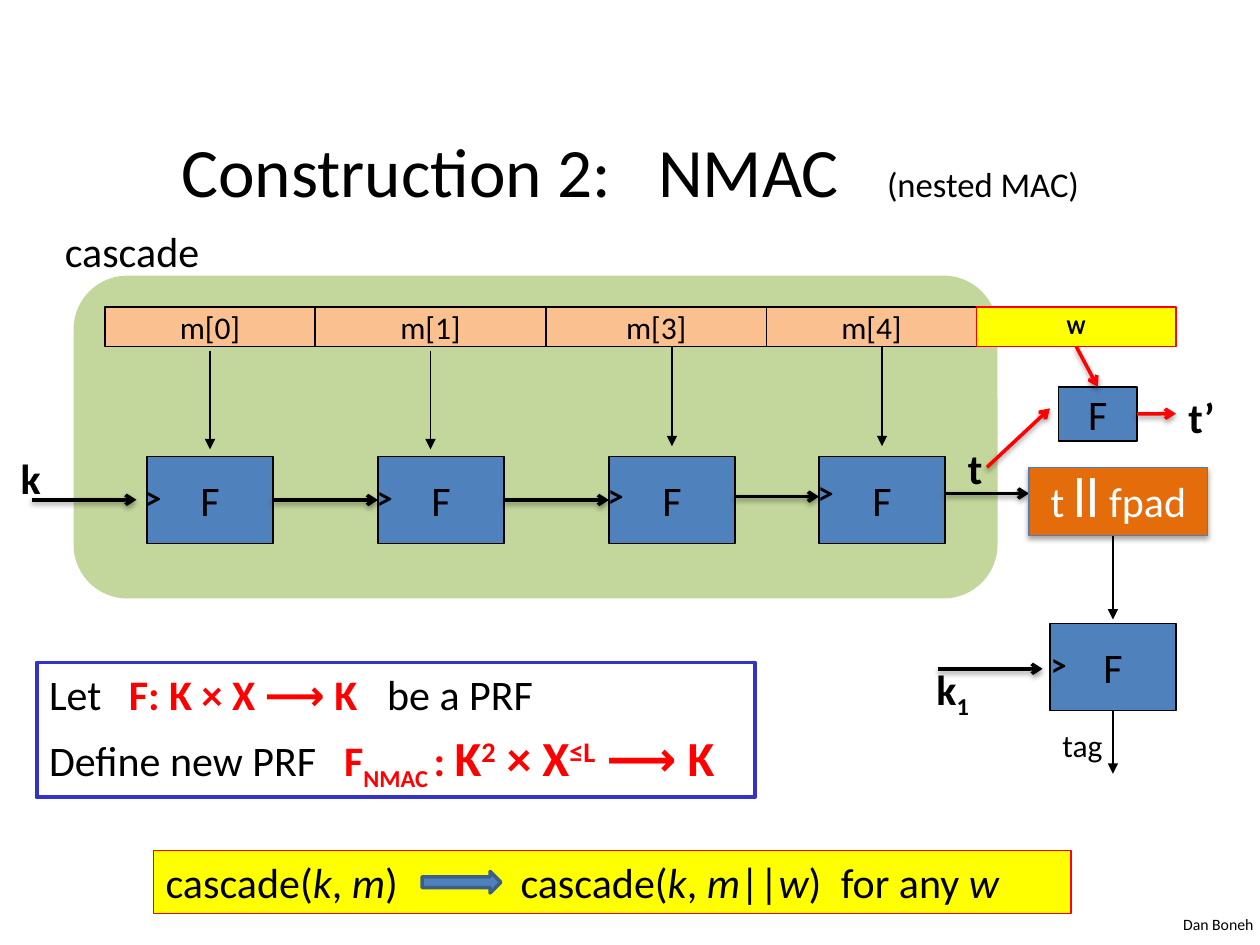
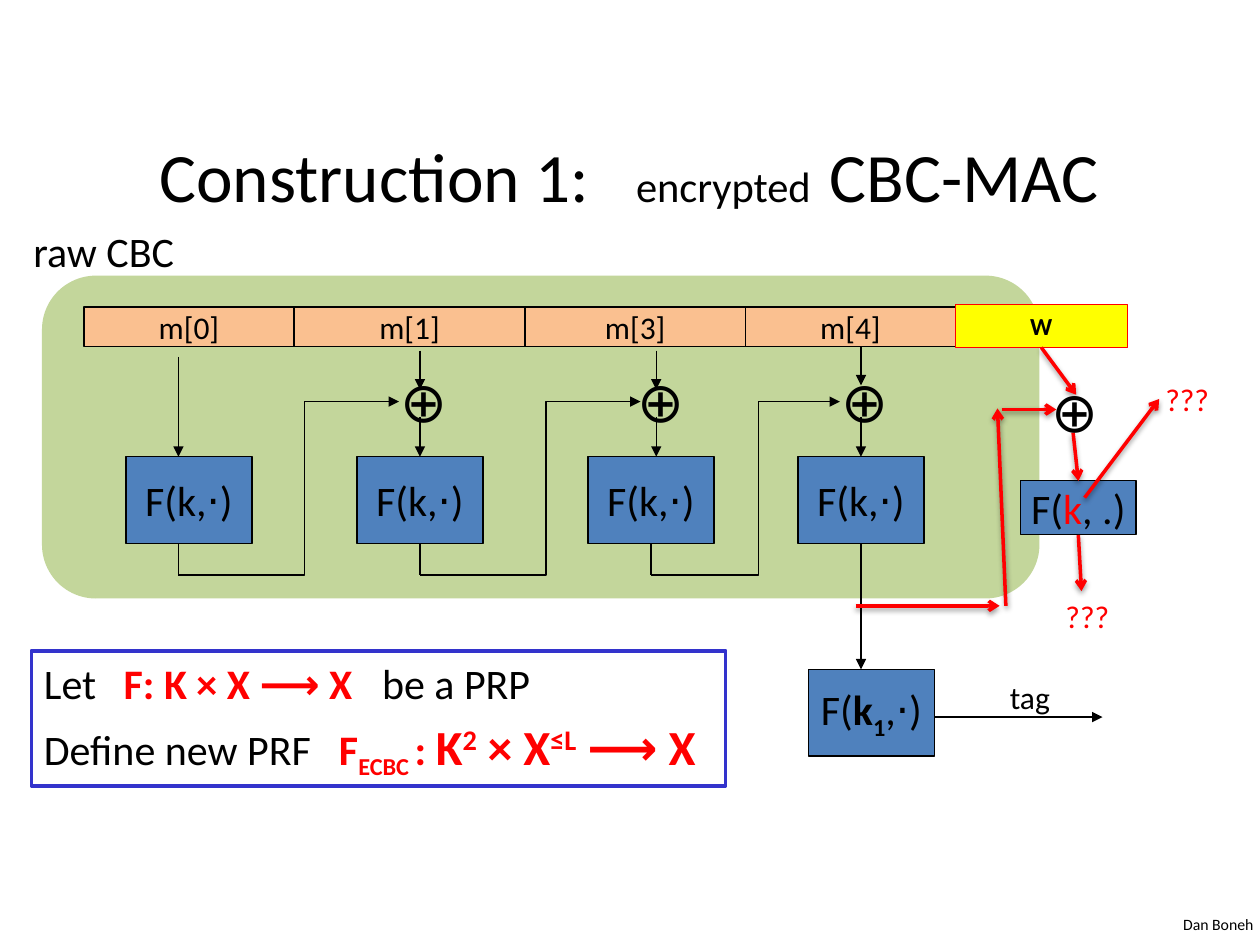
from lxml.etree import SubElement
from pptx import Presentation
from pptx.dml.color import RGBColor
from pptx.enum.shapes import MSO_CONNECTOR, MSO_SHAPE
from pptx.enum.text import MSO_ANCHOR, PP_ALIGN
from pptx.oxml.ns import qn
from pptx.util import Inches, Pt

BLACK = RGBColor(0x00, 0x00, 0x00)
WHITE = RGBColor(0xFF, 0xFF, 0xFF)
RED = RGBColor(0xFF, 0x00, 0x00)
BLUE = RGBColor(0x4F, 0x81, 0xBD)
NAVY = RGBColor(0x3A, 0x5F, 0x8C)
STEEL = RGBColor(0x4B, 0x7E, 0xBC)
FRAME = RGBColor(0x33, 0x33, 0xCC)
GREEN = RGBColor(0xC3, 0xD6, 0x9B)
PEACH = RGBColor(0xFA, 0xC0, 0x90)
YELLOW = RGBColor(0xFF, 0xFF, 0x00)
ORANGE = RGBColor(0xE4, 0x6C, 0x0A)
FONT = "Calibri"

# Grid: 120 columns by 90 rows, twelve cells to the inch
COLS, ROWS = 120, 90
MID, TOP = MSO_ANCHOR.MIDDLE, MSO_ANCHOR.TOP

# Run styles
BOLD = {"b": True}
ITAL = {"i": True}
HOT = {"b": True, "c": RED}
BIG = {**HOT, "sz": 28}

# Shared chain of message cells and function blocks
CELLS = [("m[0]", 20), ("m[1]", 22), ("m[3]", 21), ("m[4]", 20)]
STEPS = [4, 26, 48, 68]
BLOCK_Y, BLOCK_W, BLOCK_H = 43.5, 12, 8.25
CELL_Y, CELL_H = 29.25, 3.75
FLOOR, RISE = 54.75, 38.25

# Slide contents: lines are (x1, y1, x2, y2), labels are (runs, box)
NMAC = {
    "title": (16.1, [("Construction 2:\tNMAC\t", {"sz": 39.6}),
                     ("(nested MAC)", {"sz": 19.8})]),
    "band": (7, 88), "name": ("cascade", 15.4),
    "start": 10, "block": "F",
    "extra": (93, 29.25, 19, 3.75, 12),
    "last": (100, 59.4, [("F", {})]),
    "small": (100.8, 36.85, 7.5, [("F", {})]),
    "thin": [(20, 33.4, 20, 42.8), (41, 33.4, 41, 42.8),
             (64, 33, 64, 42.5), (84, 33, 84, 42.5),
             (106, 51, 106, 59), (106, 67.65, 106, 73.7)],
    "thick": [(26, 47.6, 36, 47.6), (48, 47.5, 58, 47.5),
              (70, 47.3, 78, 47.3), (3, 47.6, 13, 47.6),
              (90, 47, 98, 47), (89.3, 63.7, 99.3, 63.7)],
    "red": [(94, 44.5, 100, 38.9), (102.5, 33, 104.5, 36.85),
            (108.3, 39.4, 112, 39.4)],
    "bends": [],
    "labels": [([("k", BOLD)], (0.8, 42.5, 4.3, 6)),
               ([("t", BOLD)], (91, 41.6, 3.8, 6)),
               ([("k", BOLD), ("1", {"b": True, "base": -25})],
                (88, 62.6, 5.8, 6)),
               ([("t’", BOLD)], (112, 36.7, 6, 6)),
               ([("tag", {"sz": 18})], (100, 68.6, 6.4, 4.8))]
              + [([(">", {"sz": 18, "b": True})], (x, y, 4, 4.8))
                 for x, y in [(12.7, 44.9), (34.7, 44.9), (56.7, 44.7),
                              (76.7, 44.5), (98.9, 60.8)]],
    "rule": ((3.5, 63.1, 68.4), "K", "PRF", "NMAC"),
}

XORS = [40, 62.5, 82]
CBC = {
    "title": (14, [("Construction 1:\t", {"sz": 39.6}),
                   ("encrypted", {"sz": 24.3}), (" ", {"sz": 47.7}),
                   ("CBC-MAC", {"sz": 39.6})]),
    "band": (4, 95), "name": ("raw CBC", 16.1),
    "start": 8, "block": "F(k,⋅)",
    "extra": (91, 29, 16.35, 4.1, 14),
    "last": (77, 63.75, [("F(", {}), ("k", BOLD),
                         ("1", {"b": True, "base": -25}), (",⋅)", {})]),
    "small": (97.2, 45.8, 11, [("F(", {}), ("k", {"c": RED}), (", .)", {})]),
    "thin": [(x, y, x, y + 3.7) for x, y in zip(XORS, (33.4, 33.4, 33))]
            + [(x, 39.7, x, BLOCK_Y) for x in XORS]
            + [(17, 34, 17, BLOCK_Y), (82, 51.75, 82, 63.75),
               (89, 68.3, 105, 68.3)],
    "thick": [],
    "red": [(81.5, 57.7, 95.2, 57.7), (95.4, 39, 100.6, 39),
            (95.8, 57.7, 95, 38.9), (99.1, 33, 102.5, 37.6),
            (102.2, 41.2, 102.6, 45.8), (103.3, 47.4, 110.4, 38),
            (102.6, 50.9, 103, 56.3)],
    "bends": [(17, 29, 38), (40, 52, 61), (62, 72.25, 80)],
    "labels": [([("⊕", {"sz": 32})], (x, y, 6.6, 7.7))
               for x, y in [(37, 34.3), (59.5, 34.3), (79, 34.3), (99, 35.3)]]
              + [([("???", {"sz": 18, "c": RED})], (x, y, 7, 4.8))
                 for x, y in [(109.8, 35.6), (100.3, 56.3)]]
              + [([("tag", {"sz": 18})], (95, 64, 6.4, 4.8))],
    "rule": ((3, 62, 66.1), "X", "PRP", "ECBC"),
}

CLAIM = [("cascade(", {}), ("k", ITAL), (", ", {}), ("m", ITAL),
         (")\tcascade(", {}), ("k", ITAL), (", ", {}), ("m", ITAL),
         ("||", {}), ("w", ITAL), (")\tfor any ", {}), ("w", ITAL)]


def cell(n):
    return Inches(n / 12)


def add_runs(para, runs, ink=BLACK, stops=()):
    if stops:
        tabs = SubElement(para._p.get_or_add_pPr(), qn("a:tabLst"))
        for stop in stops:
            SubElement(tabs, qn("a:tab"), pos=str(cell(stop)), algn="l")
    for text, style in runs:
        run = para.add_run()
        run.text = text
        font = run.font
        font.name = FONT
        font.size = Pt(style.get("sz", 24))
        font.bold = style.get("b", False)
        font.italic = style.get("i", False)
        font.color.rgb = style.get("c", ink)
        if "base" in style:
            run._r.get_or_add_rPr().set("baseline", str(style["base"] * 1000))


def fill_text(shape, runs, align=PP_ALIGN.LEFT, anchor=TOP, wrap=False,
              ink=BLACK, stops=()):
    frame = shape.text_frame
    frame.word_wrap = wrap
    frame.vertical_anchor = anchor
    para = frame.paragraphs[0]
    para.alignment = align
    add_runs(para, runs, ink, stops)
    return frame


def add_text(slide, runs, box, **opts):
    return fill_text(slide.shapes.add_textbox(*map(cell, box)), runs, **opts)


def add_box(slide, box, fill=None, line=BLACK, width=0.75,
            kind=MSO_SHAPE.RECTANGLE):
    shape = slide.shapes.add_shape(kind, *map(cell, box))
    shape.shadow.inherit = False
    if fill is None:
        shape.fill.background()
    else:
        shape.fill.solid()
        shape.fill.fore_color.rgb = fill
    if line is None:
        shape.line.fill.background()
    else:
        shape.line.color.rgb = line
        shape.line.width = Pt(width)
    return shape


def add_block(slide, box, fill, runs):
    shape = add_box(slide, box, fill)
    fill_text(shape, runs, PP_ALIGN.CENTER, MID)
    return shape


def add_glow(props, alpha, drop):
    """Soft shadow straight below."""
    old = props.find(qn("a:effectLst"))
    if old is None:
        old = SubElement(props, qn("a:effectLst"))
    shade = SubElement(old, qn("a:outerShdw"), blurRad=str(Pt(3.1)),
                       dist=str(Pt(drop)), dir="5400000", rotWithShape="0")
    tint = SubElement(shade, qn("a:srgbClr"), val="000000")
    SubElement(tint, qn("a:alpha"), val=str(alpha * 1000))


def add_head(shape, head):
    SubElement(shape.line._get_or_add_ln(), qn("a:tailEnd"), type=head)


def find_side(boxes, x, y):
    """Box and side whose middle lies at the point."""
    for box in boxes:
        left, top, wide, high = box.left, box.top, box.width, box.height
        mids = [(left + wide / 2, top), (left, top + high / 2),
                (left + wide / 2, top + high), (left + wide, top + high / 2)]
        for side, (mx, my) in enumerate(mids):
            if max(abs(mx - cell(x)), abs(my - cell(y))) < Inches(0.025):
                return box, side
    return None


def add_line(slide, ends, boxes, ink=BLACK, width=0.75, head="triangle"):
    line = slide.shapes.add_connector(MSO_CONNECTOR.STRAIGHT,
                                      *map(cell, ends))
    line.line.color.rgb = ink
    line.line.width = Pt(width)
    if head:
        add_head(line, head)
    props = line._element.spPr
    SubElement(props, qn("a:effectLst"))
    if head == "arrow":
        add_glow(props, 38, 1.6)
    for point, join in [(ends[:2], line.begin_connect),
                        (ends[2:], line.end_connect)]:
        found = find_side(boxes, *point)
        if found:
            join(*found)


def add_bend(slide, x1, x2, x3):
    pen = slide.shapes.build_freeform(cell(x1), cell(FLOOR), 1.0)
    pen.add_line_segments([(cell(x2), cell(FLOOR)), (cell(x2), cell(RISE)),
                           (cell(x3), cell(RISE))], close=False)
    path = pen.convert_to_shape()
    path.shadow.inherit = False
    path.fill.background()
    path.line.color.rgb = BLACK
    path.line.width = Pt(0.75)
    add_head(path, "triangle")


def add_rule(slide, place, out, kind, name):
    """Framed definition of the new function."""
    shape = add_box(slide, (*place, 12.85), None, FRAME, 2.25)
    frame = fill_text(shape, [("Let", {}), (f"\tF: K × X ⟶ {out}", HOT),
                              (f"\tbe a {kind}", {})],
                      wrap=True, stops=(7.6, 32.2))
    para = frame.add_paragraph()
    para.alignment = PP_ALIGN.LEFT
    para.space_before = Pt(5)
    add_runs(para, [("Define new PRF", {}), ("\tF", HOT),
                    (name + " ", {**HOT, "base": -25}), (": ", HOT),
                    ("K", BIG), ("2", {**BIG, "base": 30}), (" × X", BIG),
                    ("≤L", {**BIG, "base": 30}), (f" ⟶ {out}", BIG)],
             stops=(28.1,))


def add_chain(deck, data):
    slide = deck.slides.add_slide(deck.slide_layouts[6])
    add_text(slide, [("Dan Boneh", {"sz": 9})], (111.5, 86.5, 9.1, 3))

    # Band and title
    left, wide = data["band"]
    band = add_box(slide, (left, 26.25, wide, 30.75), GREEN, None,
                   kind=MSO_SHAPE.ROUNDED_RECTANGLE)
    band.adjustments[0] = 0.167
    name, size = data["name"]
    add_text(slide, [(name, {})], (left - 2, 20.9, size, 6.1))
    x, runs = data["title"]
    add_text(slide, runs, (x, 12, 114 - x, 8.3), anchor=MID, wrap=True,
             stops=(45.4, 67.2))

    # Message cells and function blocks
    x = data["start"]
    boxes = [add_block(slide, (x + step, BLOCK_Y, BLOCK_W, BLOCK_H), BLUE,
                       [(data["block"], {})]) for step in STEPS]
    for text, wide in CELLS:
        boxes.append(add_block(slide, (x, CELL_Y, wide, CELL_H), PEACH,
                               [(text, {"sz": 18})]))
        x += wide
    x, y, runs = data["last"]
    boxes.append(add_block(slide, (x, y, BLOCK_W, BLOCK_H), BLUE, runs))
    x, y, wide, runs = data["small"]
    boxes.append(add_block(slide, (x, y, wide, 5.15), BLUE, runs))
    *place, size = data["extra"]
    extra = add_box(slide, place, YELLOW, RED)
    fill_text(extra, [("W", {"sz": size, "b": True})], PP_ALIGN.CENTER,
              wrap=True)
    boxes.append(extra)

    # Arrows
    for x1, x2, x3 in data["bends"]:
        add_line(slide, (x1, BLOCK_Y + BLOCK_H, x1, FLOOR), boxes, head=None)
        add_bend(slide, x1, x2, x3)
    for ends in data["thin"]:
        add_line(slide, ends, boxes)
    for key, ink in [("thick", BLACK), ("red", RED)]:
        for ends in data[key]:
            add_line(slide, ends, boxes, ink, 2, "arrow")

    # Labels and definition
    for runs, box in data["labels"]:
        add_text(slide, runs, box)
    add_rule(slide, *data["rule"])
    return slide


def add_pad(slide):
    pad = add_box(slide, (98, 44.5, 17, 6.5), ORANGE, STEEL)
    add_glow(pad._element.spPr, 35, 1.8)
    frame = fill_text(pad, [("t ", {}), ("ll", {"sz": 32}), (" fpad", {})],
                      PP_ALIGN.CENTER, MID, True, WHITE)
    frame.margin_bottom = Inches(0.15)


def add_claim(slide):
    claim = add_box(slide, (14.6, 81, 87.4, 6), YELLOW, RED)
    fill_text(claim, CLAIM, wrap=True, stops=(33.8, 64.3))
    add_box(slide, (40.2, 83, 7.5, 2.05), BLUE, NAVY, 2,
            MSO_SHAPE.RIGHT_ARROW)


def main():
    deck = Presentation()
    deck.slide_width, deck.slide_height = cell(COLS), cell(ROWS)
    nested = add_chain(deck, NMAC)
    add_pad(nested)
    add_claim(nested)
    add_chain(deck, CBC)
    deck.save("out.pptx")


if __name__ == "__main__":
    main()
